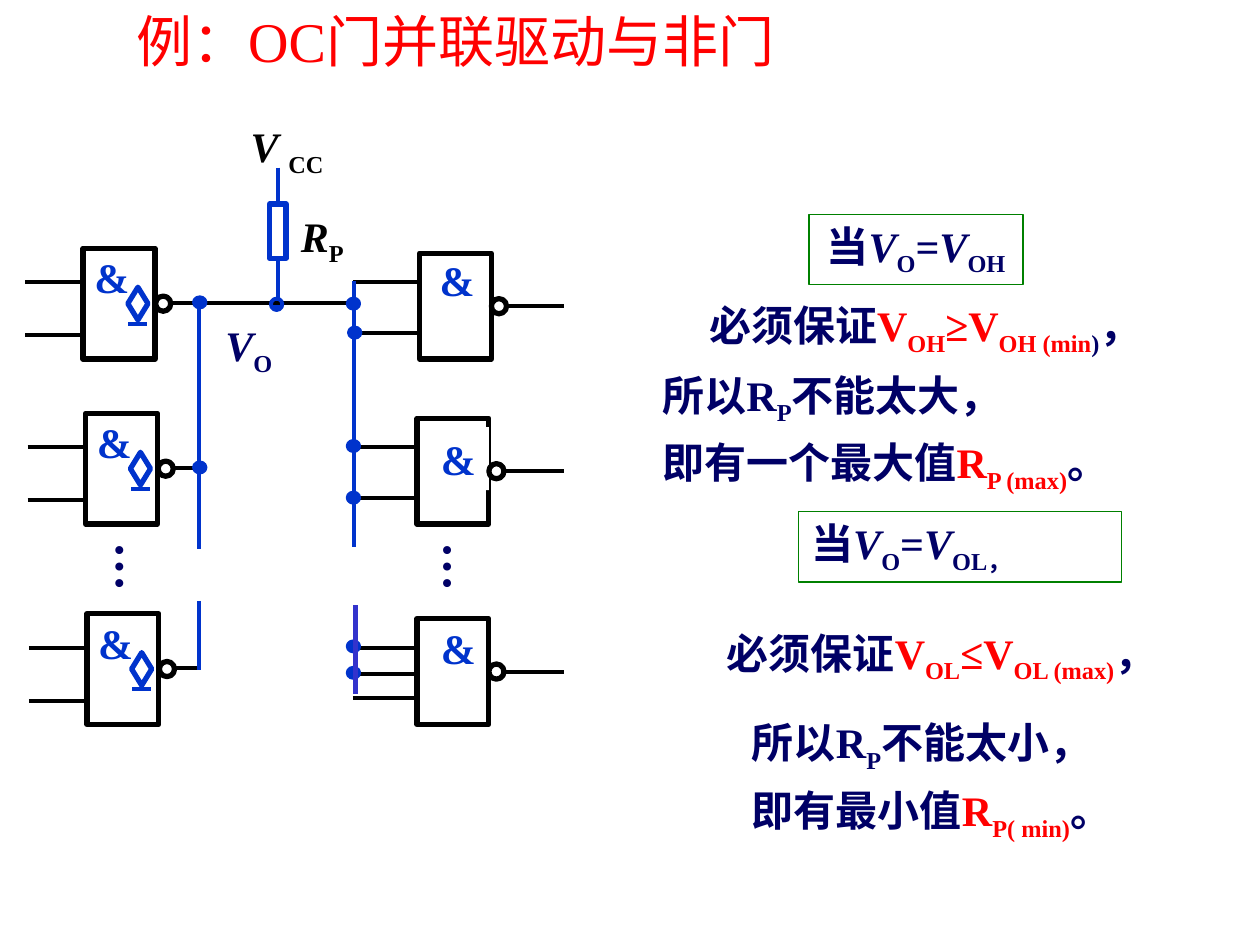
from lxml.etree import SubElement
from pptx import Presentation
from pptx.dml.color import RGBColor
from pptx.enum.shapes import MSO_CONNECTOR, MSO_SHAPE
from pptx.enum.text import MSO_ANCHOR, MSO_AUTO_SIZE, PP_ALIGN
from pptx.oxml.ns import qn
from pptx.util import Inches, Pt

BLACK = RGBColor(0x00, 0x00, 0x00)
WHITE = RGBColor(0xFF, 0xFF, 0xFF)
RED = RGBColor(0xFF, 0x00, 0x00)
NAVY = RGBColor(0x00, 0x00, 0x66)
BLUE = RGBColor(0x00, 0x33, 0xCC)
VIOLET = RGBColor(0x33, 0x33, 0xCC)
GREEN = RGBColor(0x00, 0x80, 0x00)
LINE, RECT = MSO_CONNECTOR.STRAIGHT, MSO_SHAPE.RECTANGLE
OVAL, DIAMOND = MSO_SHAPE.OVAL, MSO_SHAPE.DIAMOND

prs = Presentation()
prs.slide_width, prs.slide_height = Inches(10), Inches(7.5)
CELL = prs.slide_width // 100  # grid of 100 columns by 75 rows
s = prs.slides.add_slide(prs.slide_layouts[5])


def draw(kind, x, y, w, h, color=BLACK, weight=2.25, fill=None):
    """Draw a line or a preset shape; all lengths are in grid cells."""
    x, y, w, h = (round(v * CELL) for v in (x, y, w, h))
    if kind is LINE:  # the two enums share numbers, so compare identity
        sp = s.shapes.add_connector(kind, x, y, x + w, y + h)
        SubElement(sp._element.spPr, qn("a:effectLst"))
    else:
        sp = s.shapes.add_shape(kind, x, y, w, h)
        sp.shadow.inherit = False
        if fill is None:
            sp.fill.background()
        else:
            sp.fill.solid()
            sp.fill.fore_color.rgb = fill
    if color is None:
        sp.line.fill.background()
    else:
        sp.line.color.rgb = color
        sp.line.width = Pt(weight)
    return sp


def write(target, *paragraphs, size=24, color=NAVY, bold=True, wrap=True,
          align=PP_ALIGN.LEFT, before=0):
    """Write runs of (text, marks): i italic, s subscript, r red.

    The target is a shape, or the grid box of a new text box."""
    if isinstance(target, tuple):
        target = s.shapes.add_textbox(*(round(v * CELL) for v in target))
    tf = target.text_frame
    tf.word_wrap = wrap
    tf.auto_size = MSO_AUTO_SIZE.NONE
    tf.vertical_anchor = MSO_ANCHOR.TOP
    for n, runs in enumerate(paragraphs):
        p = tf.add_paragraph() if n else tf.paragraphs[0]
        p.alignment = align
        p.space_before = Pt(before)
        for text, marks in runs:
            r = p.add_run()
            r.text = text
            r.font.name = "Times New Roman"
            r.font.size = Pt(size)
            r.font.bold = bold
            r.font.italic = "i" in marks
            r.font.color.rgb = RED if "r" in marks else color
            if "s" in marks:
                r._r.get_or_add_rPr().set("baseline", "-25000")
    return target


# Title
title = s.shapes.title
title.left, title.top = round(9.8 * CELL), 0
title.width, title.height = round(63.3 * CELL), round(6.4 * CELL)
write(title, [("例：OC门并联驱动与非门", "")], size=32, color=RED,
      bold=False, before=8)

# Supply and pull-up resistor
write((18.9, 9.1, 8.7, 5.6), [("V ", "i"), ("CC", "s")], color=BLACK)
write((22.9, 16.2, 5.4, 5.6), [("R", "i"), ("P", "s")], color=BLACK, wrap=False)
draw(OVAL, 21.5, 23.7, 0.9, 0.9, BLUE, 0.75, BLUE)
draw(LINE, 22.1, 13.3, 0, 11.1, BLUE)
draw(RECT, 21.4, 16.2, 1.3, 4.3, BLUE, 3, WHITE)

# Open-collector gates: left, top, end of the output wire
for x, y, end in [(6.6, 19.7, 28), (6.8, 32.8, 15.8), (6.9, 48.7, 15.9)]:
    for dy in (2.7, 6.9):
        draw(LINE, x - 4.6, y + dy, 4.6, 0)
    draw(LINE, x + 7, y + 4.35, end - x - 7, 0)
    draw(RECT, x, y, 5.7, 8.8, BLACK, 3, WHITE)
    write((x - 0.1, y - 0.2, 4.8, 5), [("&", "")], color=BLUE, wrap=False)
    draw(OVAL, x + 5.75, y + 3.8, 1.2, 1.2, BLACK, 3)
    draw(DIAMOND, x + 3.55, y + 3.1, 1.6, 2.6, BLUE, 3)
    draw(LINE, x + 3.6, y + 6, 1.5, 0, BLUE)
draw(OVAL, 21.5, 23.7, 0.9, 0.9, BLUE)

# Driven gates: left, top, label left, label top, label fill, inputs (start, dy)
for x, y, label_x, label_y, label_fill, inputs in [
    (33.3, 20.1, 33.9, 19.7, None, [(28, 2.3), (28.6, 6.3)]),
    (33.1, 33.2, 34, 33.9, WHITE, [(28.4, 2.3), (28.4, 6.3)]),
    (33.1, 49.1, 34, 48.9, None, [(28.6, 2.3), (28.6, 4.4), (28, 6.3)]),
]:
    draw(RECT, x, y, 5.7, 8.4, BLACK, 3, WHITE)
    for start, dy in inputs:
        draw(LINE, start, y + dy, x - start, 0)
    draw(LINE, x + 7, y + 4.2, 44.8 - x - 7, 0)
    label = draw(RECT, label_x, label_y, 4.8, 5, None, fill=label_fill)
    write(label, [("&", "")], color=BLUE, wrap=False)
    draw(OVAL, x + 5.7, y + 3.6, 1.2, 1.2, BLACK, 3)

# Input junctions, then the right bus over them
for x, y in [(27.6, 23.7), (27.7, 26), (27.6, 35), (27.6, 39.1),
             (27.6, 50.9), (27.6, 53)]:
    draw(OVAL, x, y, 0.9, 0.8, BLUE, fill=BLUE)
draw(LINE, 28.1, 22.3, 0, 21.1, BLUE)
draw(LINE, 28.2, 55.1, 0, -7.1, VIOLET, 3)

# Left bus with its junctions
for y, length in [(24.2, 19.4), (47.7, 5.5)]:
    draw(LINE, 15.8, y, 0, length, BLUE)
for y in (23.6, 36.7):
    draw(OVAL, 15.4, y, 0.9, 0.8, BLUE, fill=BLUE)
write((16.9, 24.9, 7.3, 5.6), [("V", "i"), ("O", "s")], before=6)

# Continuation dots
for x in (7.8, 33.8):
    write((x, 42.2, 5.9, 5.7), [("…", "")], size=28, wrap=False).rotation = 90

# High-level case
high = draw(RECT, 64.2, 17, 17, 5.6, GREEN, 0.75)
write(high, [("当", ""), ("V", "i"), ("O", "s"), ("=", ""), ("V", "i"), ("OH", "s")],
      align=PP_ALIGN.CENTER, wrap=False)
write((55.3, 23.3, 44.7, 5.6),
      [("必须保证", ""), ("V", "r"), ("OH", "rs"), ("≥V", "r"),
       ("OH (min", "rs"), (")", "s"), ("，", "")])
write((51.6, 28.8, 46.6, 11),
      [("所以R", ""), ("P", "s"), ("不能太大，", "")],
      [("即有一个最大值", ""), ("R", "r"), ("P (max)", "rs"), ("。", "")], before=6)

# Low-level case
low = draw(RECT, 63.4, 40.6, 25.6, 5.6, GREEN, 0.75)
write(low, [("当", ""), ("V", "i"), ("O", "s"), ("=", ""), ("V", "i"), ("OL，", "s")])
write((56.7, 49.3, 41.4, 9.6),
      [("必须保证", ""), ("V", "r"), ("OL", "rs"), ("≤V", "r"),
       ("OL (max)", "rs"), ("，", "")])
write((58.7, 56.4, 34.7, 11),
      [("所以R", ""), ("P", "s"), ("不能太小，", "")],
      [("即有最小值", ""), ("R", "r"), ("P( min)", "rs"), ("。", "")], before=6)

prs.save("out.pptx")
